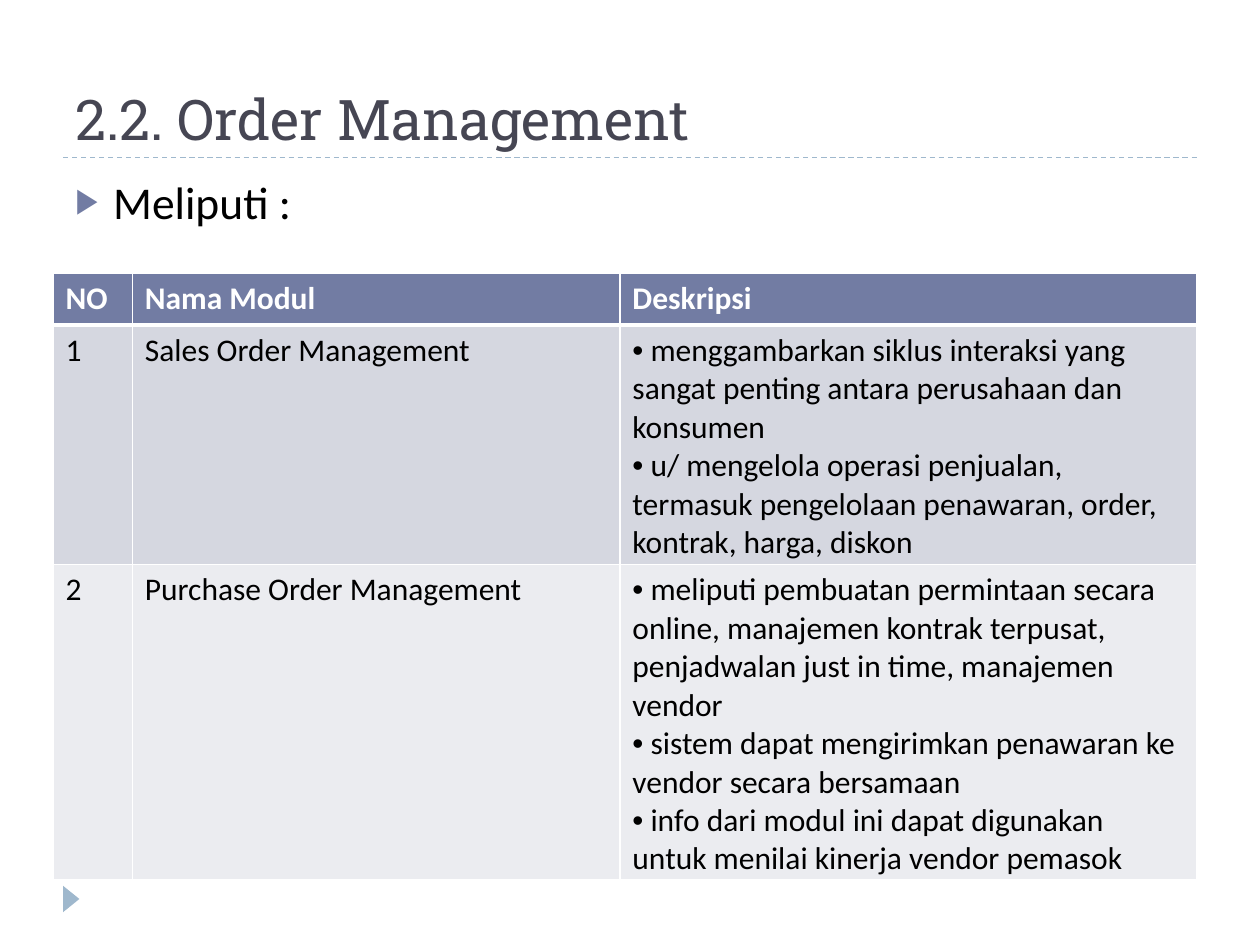
from lxml import etree
from pptx import Presentation
from pptx import util as u
from pptx.dml.color import RGBColor
from pptx.enum import dml, shapes, text
from pptx.oxml.ns import qn

COLORS = {"ink": "000000", "title": "464653", "accent": "727CA3", "rule": "9FB8CD",
          "paper": "FFFFFF", "odd": "D5D7E0", "even": "EBECF0"}
FORMATS = {
    "title": ({"name": "Roboto Slab", "size": u.Pt(32), "bold": False}, "title"),
    "lead": ({"name": "Calibri", "size": u.Pt(26), "bold": False}, "ink"),
    "head": ({"name": "Calibri", "size": u.Pt(18), "bold": True}, "paper"),
    "cell": ({"name": "Calibri", "size": u.Pt(18), "bold": False}, "ink"),
}
MODULES = [
    ["NO", "Nama Modul", "Deskripsi"],
    ["1", "Sales Order Management", [
        " menggambarkan siklus interaksi yang sangat penting antara perusahaan dan konsumen",
        " u/ mengelola operasi penjualan, termasuk pengelolaan penawaran, order, kontrak, harga, diskon"]],
    ["2", "Purchase Order Management", [
        " meliputi pembuatan permintaan secara online, manajemen kontrak terpusat, "
        "penjadwalan just in time, manajemen vendor",
        " sistem dapat mengirimkan penawaran ke vendor secara bersamaan",
        " info dari modul ini dapat digunakan untuk menilai kinerja vendor pemasok"]],
]


class Page:
    """Draw styled elements on one slide, measured on a grid of 100 columns by 75 rows."""

    def __init__(self, deck):
        self.column, self.row = deck.slide_width / 100, deck.slide_height / 75
        self.page = deck.slides.add_slide(deck.slide_layouts[6])

    def place(self, left, top, width, height):
        return [round(value * unit) for value, unit in
                zip((left, top, width, height), (self.column, self.row) * 2)]

    def color(self, name):
        return RGBColor.from_string(COLORS[name])

    def node(self, parent, tag, **attributes):
        return etree.SubElement(parent, qn(f"a:{tag}"), attributes)

    def add_span(self, para, wording, style):
        span = para.add_run()
        span.text = wording
        values, color = FORMATS[style]
        for name, value in values.items():
            setattr(span.font, name, value)
        span.font.color.rgb = self.color(color)

    def bullet(self, para, mark, color=None, size=100, indent=0):
        props = para._p.get_or_add_pPr()
        props.set("marL", str(u.Inches(indent)))
        props.set("indent", str(-u.Inches(indent)))
        if color:
            self.node(self.node(props, "buClr"), "srgbClr", val=COLORS[color])
        self.node(props, "buSzPct", val=str(size * 1000))
        self.node(props, "buFont", typeface="Arial")
        self.node(props, "buChar", char=mark)

    def box(self, area, wording, style, anchor):
        frame = self.page.shapes.add_textbox(*self.place(*area)).text_frame
        frame.word_wrap, frame.vertical_anchor = True, anchor
        self.add_span(frame.paragraphs[0], wording, style)
        return frame.paragraphs[0]

    def rule(self, left, right, top):
        ends = self.place(left, top, right, top)
        line = self.page.shapes.add_connector(shapes.MSO_CONNECTOR.STRAIGHT, *ends)
        line.line.color.rgb = self.color("rule")
        line.line.width = u.Pt(0.75)
        line.line.dash_style = dml.MSO_LINE.DASH
        self.node(line._element.spPr, "effectLst")

    def marker(self, area):
        marker = self.page.shapes.add_shape(shapes.MSO_SHAPE.ISOSCELES_TRIANGLE, *self.place(*area))
        marker.rotation = 90
        marker.shadow.inherit = False
        marker.fill.solid()
        marker.fill.fore_color.rgb = self.color("rule")
        marker.line.fill.background()

    def borders(self, cell, bottom):
        props = cell._tc.get_or_add_tcPr()
        for side, points in zip("LRTB", (1, 1, 1, bottom)):
            line = self.node(props, f"ln{side}", w=str(u.Pt(points)))
            self.node(self.node(line, "solidFill"), "srgbClr", val=COLORS["paper"])

    def cell(self, cell, content, style, fill, bottom):
        self.borders(cell, bottom)
        cell.fill.solid()
        cell.fill.fore_color.rgb = self.color(fill)
        items = content if isinstance(content, list) else [content]
        for index, wording in enumerate(items):
            frame = cell.text_frame
            para = frame.add_paragraph() if index else frame.paragraphs[0]
            if items is content:
                self.bullet(para, "•")
            self.add_span(para, wording, style)

    def table(self, left, top, widths, heights, rows):
        area = self.place(left, top, sum(widths), sum(heights))
        table = self.page.shapes.add_table(len(rows), len(widths), *area).table
        for column, width in zip(table.columns, widths):
            column.width = round(width * self.column)
        for index, (row, height) in enumerate(zip(table.rows, heights)):
            row.height = round(height * self.row)
            looks = ("cell", ("even", "odd")[index % 2], 1) if index else ("head", "accent", 3)
            for cell, content in zip(row.cells, rows[index]):
                self.cell(cell, content, *looks)


def main():
    deck = Presentation()
    deck.slide_width, deck.slide_height = u.Inches(10), u.Inches(7.5)
    page = Page(deck)
    page.rule(5, 95, 12.5)
    page.marker((4.6, 70.7, 2.1, 1.3))
    page.box((5, 1.7, 90, 10.8), "2.2. Order Management", "title", text.MSO_ANCHOR.BOTTOM)
    lead = page.box((5, 13.3, 90, 54), "Meliputi :", "lead", text.MSO_ANCHOR.TOP)
    lead.space_before = u.Pt(6)
    page.bullet(lead, "▶", "accent", 76, 0.3)
    page.table(4.2, 21.7, (6.3, 38.7, 45.8), (4.1, 19, 25), MODULES)
    deck.save("out.pptx")


if __name__ == "__main__":
    main()
